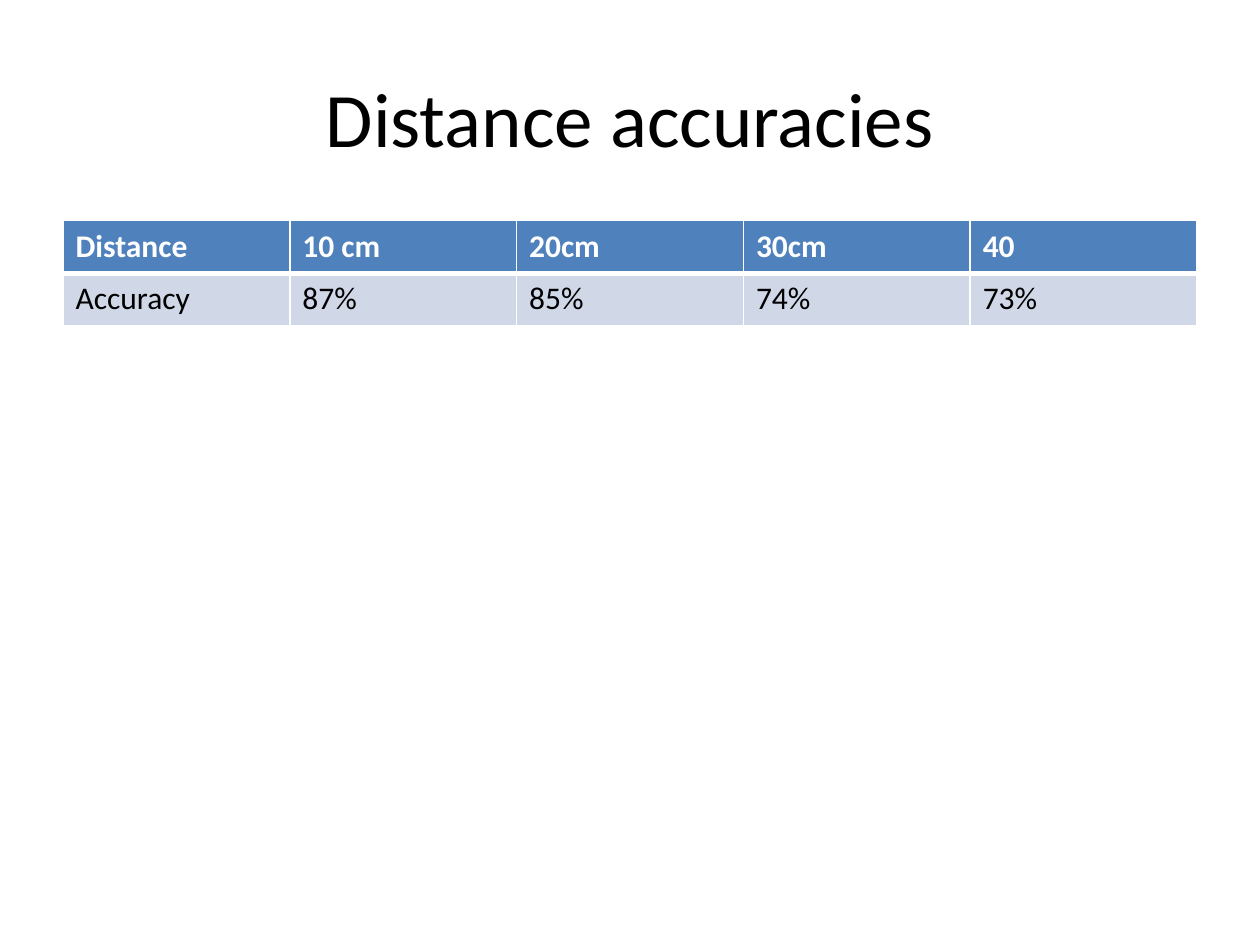
from dataclasses import dataclass

from lxml.etree import SubElement
from pptx import Presentation
from pptx.dml.color import RGBColor
from pptx.enum.text import MSO_ANCHOR, PP_ALIGN
from pptx.oxml.ns import qn
from pptx.table import _Cell
from pptx.text.text import TextFrame
from pptx.util import Cm, Pt


@dataclass(frozen=True)
class Theme:
    font: str = "Calibri"
    title_size: int = 44
    table_size: int = 18
    black: str = "000000"
    white: str = "FFFFFF"
    header_fill: str = "4F81BD"
    body_fill: str = "D0D8E8"
    thin_border: int = 1
    header_border: int = 3


@dataclass(frozen=True)
class TableRow:
    values: tuple[str, ...]
    fill: str
    color: str
    bold: bool
    top_border: int
    bottom_border: int


THEME = Theme()
ROWS = (
    TableRow(("Distance", "10 cm", "20cm", "30cm", "40"), THEME.header_fill,
             THEME.white, True, THEME.thin_border, THEME.header_border),
    TableRow(("Accuracy", "87%", "85%", "74%", "73%"), THEME.body_fill,
             THEME.black, False, THEME.header_border, THEME.thin_border),
)


def write(frame: TextFrame, text: str, *, size: int, color: str,
          bold: bool = False, align: PP_ALIGN = PP_ALIGN.LEFT) -> None:
    frame.text = text
    paragraph = frame.paragraphs[0]
    paragraph.alignment = align
    font = paragraph.runs[0].font
    font.name = THEME.font
    font.size = Pt(size)
    font.bold = bold
    font.color.rgb = RGBColor.from_string(color)


def add_borders(cell: _Cell, top: int, bottom: int) -> None:
    """Add white edges; the schema wants them before the cell's fill."""
    properties = cell._tc.get_or_add_tcPr()
    edges = {"lnL": THEME.thin_border, "lnR": THEME.thin_border,
             "lnT": top, "lnB": bottom}
    for edge, width in edges.items():
        line = SubElement(properties, qn(f"a:{edge}"), w=str(Pt(width)))
        fill = SubElement(line, qn("a:solidFill"))
        SubElement(fill, qn("a:srgbClr"), val=THEME.white)


def draw_cell(cell: _Cell, text: str, row: TableRow) -> None:
    write(cell.text_frame, text, size=THEME.table_size, color=row.color,
          bold=row.bold)
    add_borders(cell, row.top_border, row.bottom_border)
    cell.fill.solid()
    cell.fill.fore_color.rgb = RGBColor.from_string(row.fill)


def main() -> None:
    presentation = Presentation()
    presentation.slide_width, presentation.slide_height = Cm(25.4), Cm(19.05)
    slide = presentation.slides.add_slide(presentation.slide_layouts[5])
    margin, content_width = Cm(1.27), Cm(22.86)

    title = slide.shapes.title
    title.left, title.top = margin, Cm(0.76)
    title.width, title.height = content_width, Cm(3.18)
    title.text_frame.vertical_anchor = MSO_ANCHOR.MIDDLE
    write(title.text_frame, "Distance accuracies", size=THEME.title_size,
          color=THEME.black, align=PP_ALIGN.CENTER)

    accuracies = slide.shapes.add_table(
        len(ROWS), len(ROWS[0].values), margin, Cm(4.45),
        content_width, Cm(2.12)).table
    for row_index, row in enumerate(ROWS):
        for column_index, value in enumerate(row.values):
            draw_cell(accuracies.cell(row_index, column_index), value, row)

    presentation.save("out.pptx")


if __name__ == "__main__":
    main()
